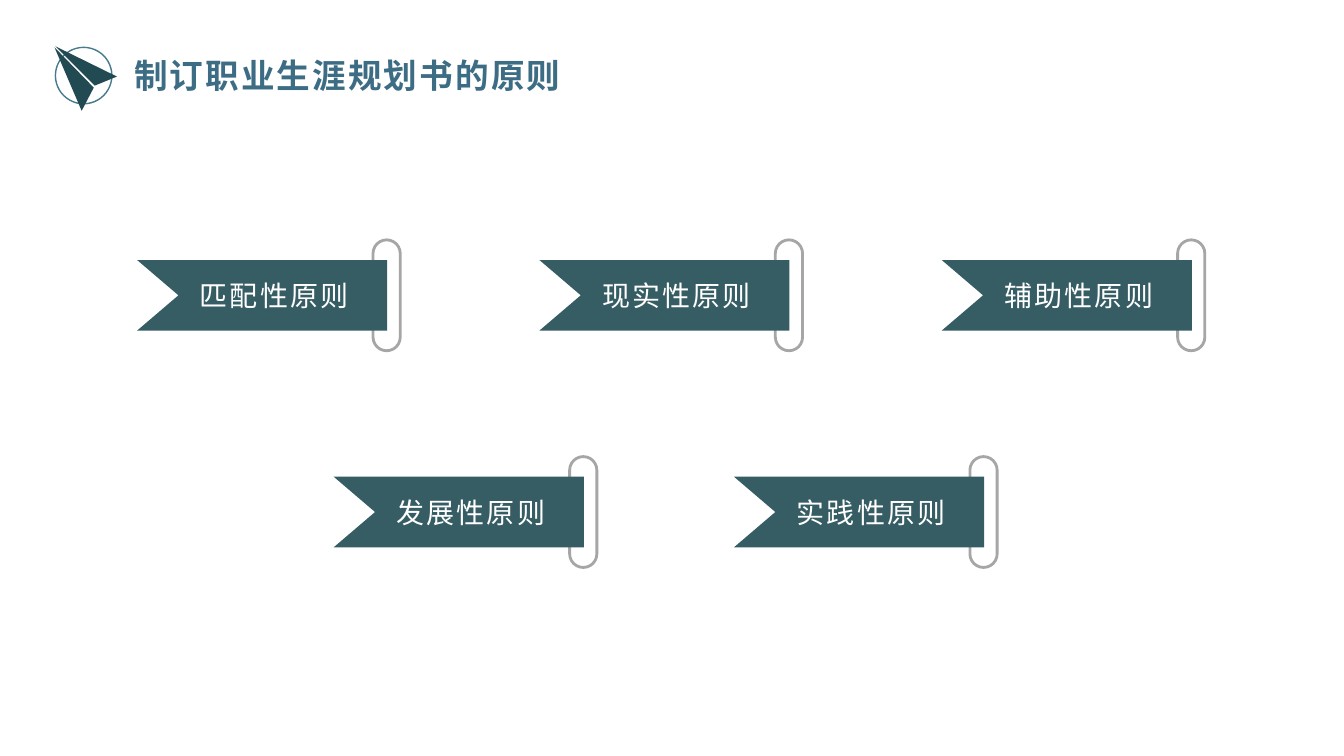
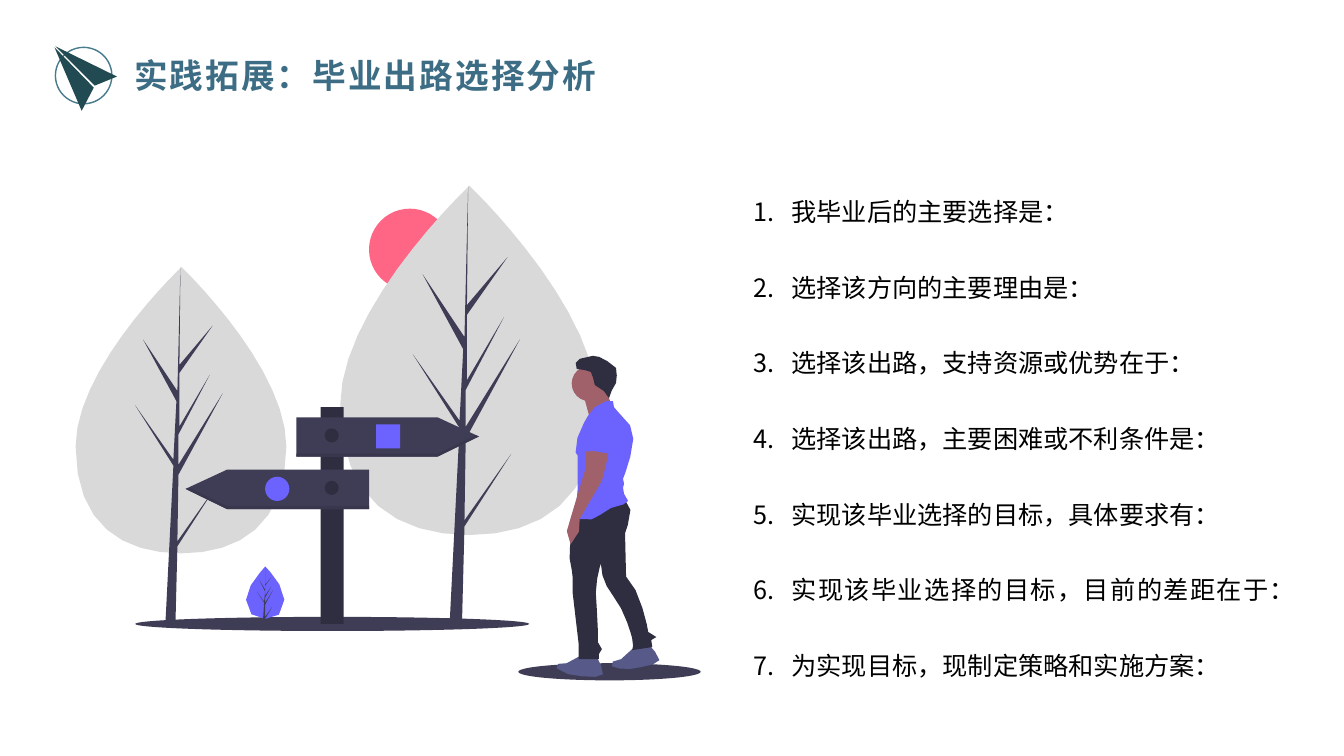
"""Build two career-planning slides: five principles and a graduation choice worksheet."""
from dataclasses import dataclass, field

from lxml.etree import SubElement
from pptx import Presentation
from pptx.dml.color import RGBColor
from pptx.enum.shapes import MSO_SHAPE as Preset
from pptx.enum.text import MSO_ANCHOR as Anchor, MSO_AUTO_SIZE as AutoSize, PP_ALIGN as Align
from pptx.oxml.ns import qn
from pptx.util import Pt

PX = 9144
CURVE_STEP = 14


@dataclass(frozen=True)
class Theme:
    font: str = "Noto Sans CJK SC"
    title: str = "3D6D84"
    ring: str = "467A8C"
    plane: str = "224A52"
    flag: str = "365D64"
    clip: str = "A6A6A6"
    white: str = "FFFFFF"
    black: str = "000000"
    crown: str = "D9D9D9"
    wood: str = "3F3D56"
    shade: str = "39374D"
    dark: str = "2F2E41"
    violet: str = "6C63FF"
    sun: str = "FF6584"
    skin: str = "A0616A"
    shoe: str = "575A89"
    sizes: dict = field(default_factory=lambda: {"title": Pt(24), "flag": Pt(20), "body": Pt(18)})


theme = Theme()

TITLE_STYLE = {
    "frame": {"vertical_anchor": Anchor.MIDDLE},
    "paragraph": {"alignment": Align.LEFT},
    "font": {"size": theme.sizes["title"], "bold": True},
    "color": theme.title,
    "tracking": 150,
}
FLAG_STYLE = {
    "frame": {"vertical_anchor": Anchor.MIDDLE, "margin_left": 24 * PX, "margin_right": 0,
              "margin_top": 0, "margin_bottom": 0},
    "paragraph": {"alignment": Align.CENTER},
    "font": {"size": theme.sizes["flag"]},
    "color": theme.white,
    "tracking": 150,
}
BODY_STYLE = {
    "frame": {"vertical_anchor": Anchor.TOP},
    "paragraph": {"alignment": Align.JUSTIFY, "line_spacing": 2.5, "space_before": Pt(0)},
    "font": {"size": theme.sizes["body"]},
    "color": theme.black,
    "tracking": 0,
}


def draw(slide, outline, fill=None, line=None, zoom=1, shift=(0, 0)):
    """Draw a preset (kind, left, top, width, height) or a path of M, L and C runs."""
    if isinstance(outline, str):
        contours = []
        for run in outline.replace("L", "|L").replace("C", "|C").replace("M", "|M").split("|")[1:]:
            pairs = [tuple(map(int, pair.split(","))) for pair in run[1:].split()]
            if run[0] == "M":
                contours.append(pairs)
            elif run[0] == "L":
                contours[-1].extend(pairs)
            else:
                for first in range(0, len(pairs), 3):
                    corners = [contours[-1][-1], *pairs[first:first + 3]]
                    extent = max(max(values) - min(values) for values in zip(*corners))
                    steps = 1 + int(extent // CURVE_STEP)
                    for step in range(1, steps + 1):
                        t = step / steps
                        weights = ((1 - t) ** 3, 3 * t * (1 - t) ** 2, 3 * t * t * (1 - t), t ** 3)
                        contours[-1].append(tuple(
                            sum(w * corner[axis] for w, corner in zip(weights, corners))
                            for axis in (0, 1)))
        placed = [[((x * zoom + shift[0]) * PX, (y * zoom + shift[1]) * PX) for x, y in contour]
                  for contour in contours]
        builder = slide.shapes.build_freeform(*placed[0][0], scale=1.0)
        for index, contour in enumerate(placed):
            if index:
                builder.move_to(*contour[0])
            builder.add_line_segments(contour[1:], close=True)
        shape = builder.convert_to_shape()
    else:
        kind, *box = outline
        shape = slide.shapes.add_shape(kind, *(value * PX for value in box))
    shape.shadow.inherit = False
    if fill:
        shape.fill.solid()
        shape.fill.fore_color.rgb = RGBColor.from_string(fill)
    else:
        shape.fill.background()
    if line:
        color, width = line
        shape.line.color.rgb = RGBColor.from_string(color)
        shape.line.width = Pt(width)
    else:
        shape.line.fill.background()
    return shape


def write(shape, lines, style):
    """Fill a shape with styled paragraphs."""
    frame = shape.text_frame
    frame.text = "\n".join(lines)
    for name, value in {"word_wrap": True, "auto_size": AutoSize.NONE, **style["frame"]}.items():
        setattr(frame, name, value)
    for paragraph in frame.paragraphs:
        for name, value in style["paragraph"].items():
            setattr(paragraph, name, value)
        font = paragraph.runs[0].font
        for name, value in {"name": theme.font, **style["font"]}.items():
            setattr(font, name, value)
        font.color.rgb = RGBColor.from_string(style["color"])
        properties = paragraph.runs[0]._r.get_or_add_rPr()
        properties.set("spc", str(style["tracking"]))
        SubElement(properties, qn("a:ea"), typeface=theme.font)


presentation = Presentation()
presentation.slide_width, presentation.slide_height = 1333 * PX, 750 * PX

slides = []
for layout, title in ((5, "制订职业生涯规划书的原则"), (1, "实践拓展：毕业出路选择分析")):
    slide = presentation.slides.add_slide(presentation.slide_layouts[layout])
    heading = slide.shapes.title
    heading.left, heading.top, heading.width, heading.height = (v * PX for v in (123, 49, 667, 50))
    write(heading, [title], TITLE_STYLE)
    draw(slide, (Preset.OVAL, 55, 47, 56, 56), line=(theme.ring, 1))
    draw(slide, "M116,76 L94,85 55,46 M93,87 L81,110 54,47", theme.plane)
    slides.append(slide)
principles_slide, choice_slide = slides

flag_rows = (
    (136, 258, 399, ("匹配性原则", "现实性原则", "辅助性原则")),
    (331, 473, 397, ("发展性原则", "实践性原则")),
)
for row_left, top, pitch, labels in flag_rows:
    for column, label in enumerate(labels):
        left = row_left + column * pitch
        clip = draw(principles_slide, (Preset.ROUNDED_RECTANGLE, left + 234, top - 20, 27, 110),
                    line=(theme.clip, 2))
        clip.adjustments[0] = 0.5
        flag = draw(principles_slide, "M0,0 L248,0 248,70 0,70 41,35", theme.flag, shift=(left, top))
        write(flag, [label], FLAG_STYLE)

questions = choice_slide.placeholders[1]
questions.left, questions.top, questions.width, questions.height = (
    v * PX for v in (737, 145, 533, 540))
write(questions, [
    "我毕业后的主要选择是：",
    "选择该方向的主要理由是：",
    "选择该出路，支持资源或优势在于：",
    "选择该出路，主要困难或不利条件是：",
    "实现该毕业选择的目标，具体要求有：",
    "实现该毕业选择的目标，目前的差距在于：",
    "为实现目标，现制定策略和实施方案：",
], BODY_STYLE)
for paragraph in questions.text_frame.paragraphs:
    properties = paragraph._p.get_or_add_pPr()
    properties.set("marL", str(38 * PX))
    properties.set("indent", str(-38 * PX))
    SubElement(properties, qn("a:buAutoNum"), type="arabicPeriod")

draw(choice_slide, (Preset.OVAL, 366, 207, 81, 81), theme.sun)

crown = "M284,443 C284,521 237,549 180,549 122,549 75,521 75,443 75,364 180,265 180,265 180,265 284,364 284,443"
trunk = (
    "M176,537 L177,471 221,390 177,461 177,431 208,372 178,423 178,370 211,323 178,362 179,265"
    " 176,388 142,337 175,398 172,456 134,402 172,462 164,620 174,620 176,542 214,483"
)
for zoom, shift in ((1, (0, 0)), (1.22, (246, -139))):
    draw(choice_slide, crown, theme.crown, zoom=zoom, shift=shift)
    draw(choice_slide, trunk, theme.wood, zoom=zoom, shift=shift)

ground = (
    ((Preset.OVAL, 134, 612, 391, 14), theme.wood),
    ((Preset.OVAL, 514, 658, 181, 17), theme.wood),
)
boards = (
    "M434,453 L294,453 294,414 434,414 475,433"
    " M225,505 L366,505 366,466 225,466 184,485"
)
board_edges = (
    "M472,432 L434,450 294,450 294,453 434,453 475,433"
    " M188,484 L184,485 225,505 366,505 366,502 225,502"
)
signpost = (
    ((Preset.RECTANGLE, 318, 404, 23, 215), theme.dark),
    (boards, theme.wood),
    (board_edges, theme.shade),
    ((Preset.RECTANGLE, 373, 421, 24, 24), theme.violet),
    ((Preset.OVAL, 263, 473, 24, 24), theme.violet),
    ((Preset.OVAL, 322, 425, 14, 14), theme.dark),
    ((Preset.OVAL, 322, 477, 14, 14), theme.dark),
)
sapling = (
    ("M282,595 C282,609 274,614 263,614 252,614 244,608 244,595"
     " 244,581 262,564 263,562 263,562 282,580 282,595", theme.violet),
    ("M263,612 L270,602 263,614 261,614 262,598 255,587 262,597 263,587 257,575"
     " 263,585 263,562 263,580 269,573 263,581 263,591 269,582 263,593 263,598 271,585 263,600",
     theme.wood),
)
shoes = (
    "M575,651 C575,651 566,658 562,658 557,658 548,658 552,663 555,668 571,671 578,671"
    " 584,672 599,672 598,669 597,667 596,653 592,652 589,651 575,651 575,651"
    " M627,644 C627,644 620,653 616,654 611,655 602,657 607,661 612,665 628,664 635,662"
    " 641,661 656,658 654,655 652,653 648,640 644,640 640,640 627,644 627,644"
)
trousers = (
    "M570,505 C570,505 564,546 565,554 567,561 568,573 568,573"
    " L568,588 574,639 574,654 594,654 594,649 597,644 593,637 593,625"
    " C593,625 592,602 591,588 591,574 596,559 596,559"
    " 596,571 601,582 608,591 620,605 627,633 627,633"
    " L628,641 627,645 647,642 646,635 651,632 643,627 C643,625 635,584 621,572"
    " L620,529 C620,529 632,499 620,496 608,493 570,505 570,505"
)
neck = "M579,393 L585,415 608,406 600,384"
shirt = (
    "M608,398 C608,398 596,396 590,404 584,412 583,413 583,413 583,413 568,437 571,449"
    " L573,452 573,485 572,497 C573,503 564,513 574,515 584,517 591,515 595,511"
    " 598,507 595,504 606,504 616,504 623,497 623,497"
    " L619,490 618,484 619,480 618,475 C618,475 635,434 625,422"
    " 614,410 609,404 609,404"
)
arm = (
    "M581,443 L581,464 566,514 C566,514 556,540 566,540 576,540 575,515 575,515"
    " L597,477 C597,477 605,448 604,445 603,443 581,443 581,443"
)
sleeve = (
    "M589,412 C589,412 575,418 579,433 583,448 579,448 579,448 579,448 598,446 604,450"
    " L606,444 C606,444 611,412 589,412"
)
hair = (
    "M579,367 L572,366 571,360 575,356 C579,355 584,354 588,353"
    " L594,354 602,358 C606,359 609,361 611,365"
    " 612,369 612,376 611,380 609,385 604,390 604,395"
    " L599,388 590,382 588,374 586,369 583,368"
)
student = (
    (shoes, theme.shoe),
    (trousers, theme.dark),
    (neck, theme.skin),
    ((Preset.OVAL, 567, 363, 35, 35), theme.skin),
    (shirt, theme.violet),
    (arm, theme.skin),
    (sleeve, theme.violet),
    (hair, theme.dark),
)
for outline, fill in ground + signpost + sapling + student:
    draw(choice_slide, outline, fill)

presentation.save("out.pptx")
